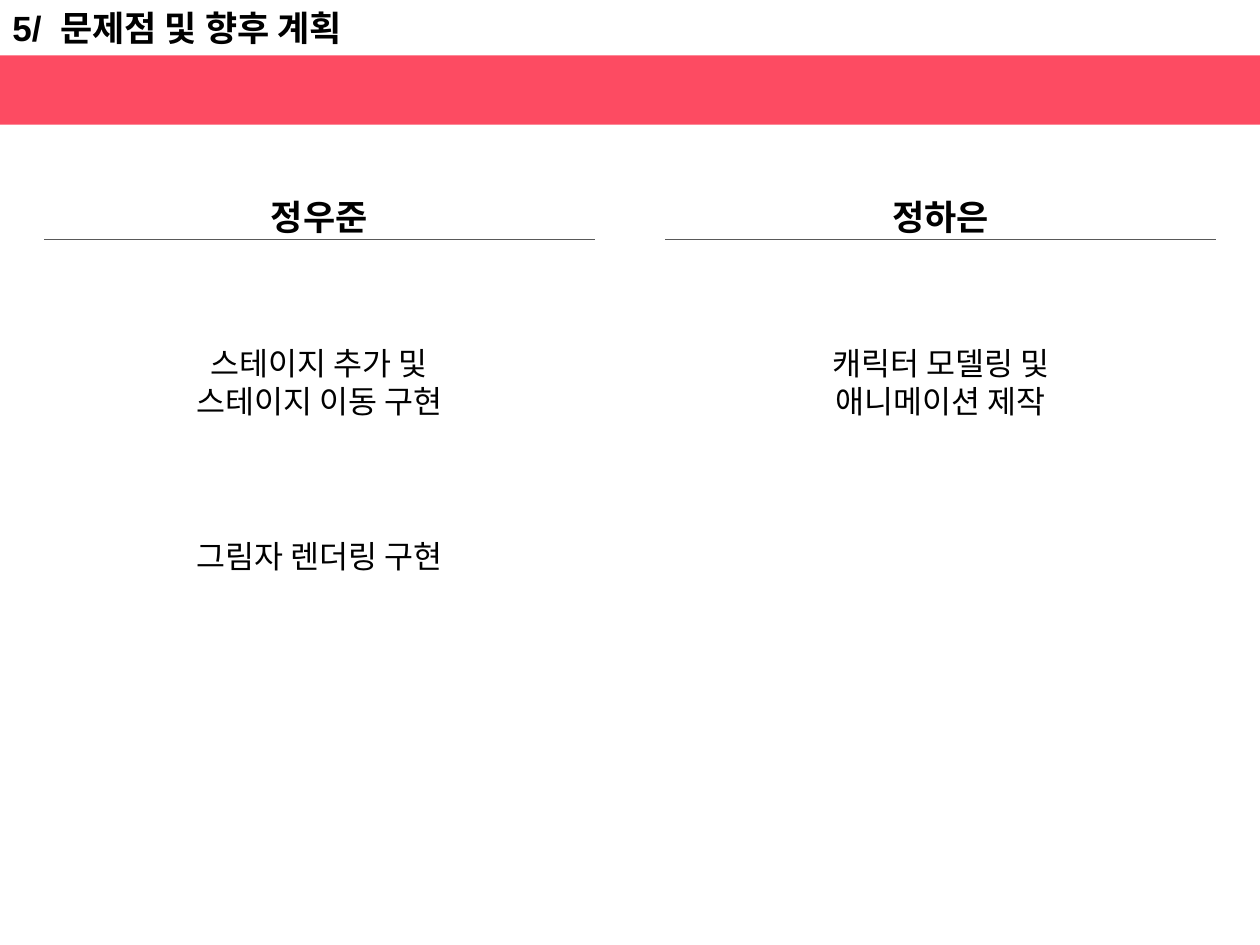
from dataclasses import dataclass

from lxml.etree import SubElement
from pptx import Presentation
from pptx.dml.color import RGBColor
from pptx.enum.shapes import MSO_CONNECTOR as Connector, MSO_SHAPE as Shape
from pptx.enum.text import MSO_AUTO_SIZE as AutoSize, PP_ALIGN as Align
from pptx.oxml.ns import qn
from pptx.util import Inches, Pt

COLORS = {"band": "FD4B62", "text": "000000", "rule": "595959"}
KOREAN = "Noto Sans CJK KR"
HEADING = {"size": Pt(20), "bold": True, "name": KOREAN}
BODY = {"size": Pt(18), "bold": False, "name": KOREAN}
TITLE = HEADING | {"name": "Arial"}
LINE_HEIGHTS = {Pt(20): Pt(24), Pt(18): Pt(21.2)}
COLUMN_WIDTH = 4.37
TASK_TOPS = (2.69, 4.22)


@dataclass
class Member:
    name: str
    left: float
    tasks: list[list[str]]


MEMBERS = [
    Member("정우준", 0.35, [["스테이지 추가 및", "스테이지 이동 구현"], ["그림자 렌더링 구현"]]),
    Member("정하은", 5.28, [["캐릭터 모델링 및", "애니메이션 제작"]]),
]


def add_run(paragraph, text: str, style: dict):
    run = paragraph.add_run()
    run.text = text
    for attribute, value in style.items():
        setattr(run.font, attribute, value)
    run.font.color.rgb = RGBColor.from_string(COLORS["text"])
    SubElement(run.font._element, qn("a:ea"), typeface=KOREAN)
    return run


def add_text(slide, left: float, top: float, width: float, height: float,
             lines: list[list[str]], style: dict, align: Align = Align.CENTER):
    """Add a text box; each line is a list of run texts."""
    box = slide.shapes.add_textbox(Inches(left), Inches(top), Inches(width), Inches(height))
    frame = box.text_frame
    frame.word_wrap = True
    frame.auto_size = AutoSize.SHAPE_TO_FIT_TEXT
    for index, runs in enumerate(lines):
        paragraph = frame.add_paragraph() if index else frame.paragraphs[0]
        paragraph.alignment = align
        paragraph.line_spacing = LINE_HEIGHTS[style["size"]]
        for text in runs:
            add_run(paragraph, text, style)
    return box


def add_rule(slide, left: float, top: float, width: float) -> None:
    rule = slide.shapes.add_connector(
        Connector.STRAIGHT, Inches(left), Inches(top), Inches(left + width), Inches(top))
    rule.line.color.rgb = RGBColor.from_string(COLORS["rule"])
    rule.line.width = Pt(1)
    SubElement(rule._element.spPr, qn("a:effectLst"))


def add_header(slide) -> None:
    band = slide.shapes.add_shape(Shape.RECTANGLE, 0, Inches(0.44), Inches(10), Inches(0.55))
    band.shadow.inherit = False
    band.fill.solid()
    band.fill.fore_color.rgb = RGBColor.from_string(COLORS["band"])
    band.line.fill.background()

    title = add_text(slide, 0, 0, 3.35, 0.44, [["5/", " ", "문제점 및 향후 계획"]], TITLE, Align.LEFT)
    number_gap = title.text_frame.paragraphs[0].runs[1]
    number_gap.font._element.set("spc", "500")


def add_member(slide, member: Member) -> None:
    add_rule(slide, member.left, 1.9, COLUMN_WIDTH)
    add_text(slide, member.left + 0.11, 1.5, 4.15, 0.44, [[member.name]], HEADING)
    for top, task in zip(TASK_TOPS, member.tasks):
        height = 0.09 + 0.31 * len(task)
        add_text(slide, member.left, top, COLUMN_WIDTH, height, [[line] for line in task], BODY)


def main() -> None:
    deck = Presentation()
    deck.slide_width, deck.slide_height = Inches(10), Inches(7.5)
    slide = deck.slides.add_slide(deck.slide_layouts[6])
    add_header(slide)
    for member in MEMBERS:
        add_member(slide, member)
    deck.save("out.pptx")


if __name__ == "__main__":
    main()
